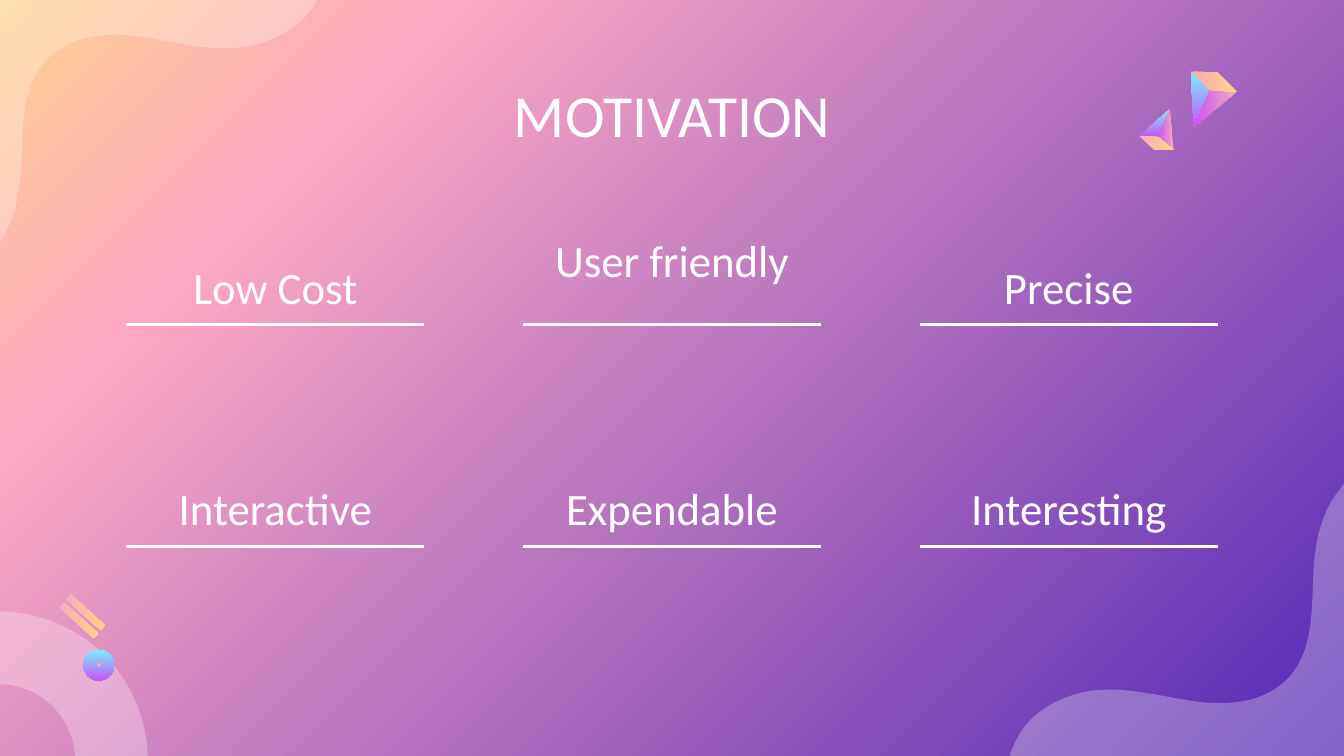
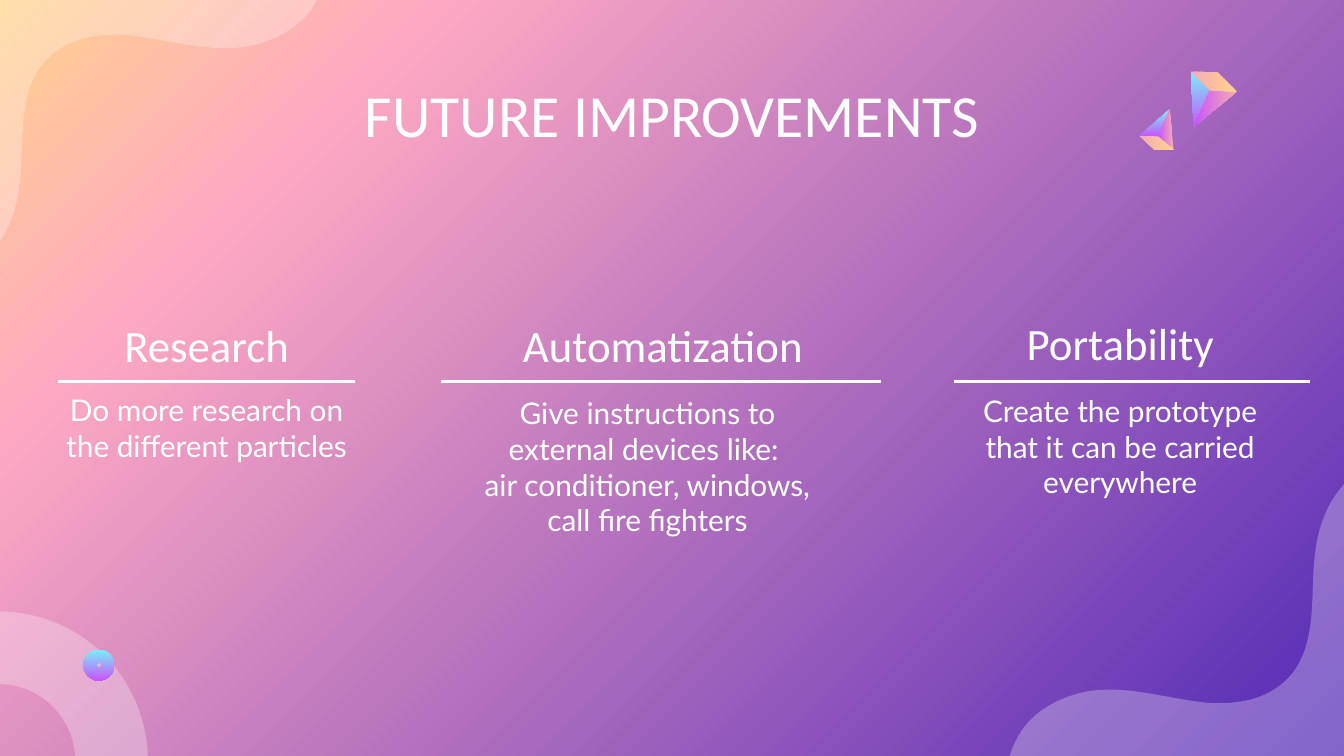
"""Build the motivation and future improvements slides."""
import copy

import lxml.etree
import pptx
import pptx.dml.color
import pptx.enum.shapes
import pptx.enum.text
import pptx.oxml
import pptx.oxml.ns
import pptx.util

Pt = pptx.util.Pt
qn = pptx.oxml.ns.qn
WHITE = "FFFFFF"
BACKDROP = [(0, "5229B7"), (0.79, "FEA8C3"), (1, "FFD38B")]
CYAN_VIOLET = [(0, "78F0F9"), (1, "C954FA")]
PINK_VIOLET = [(0, "F7ABB7"), (1, "C954FA")]
PINK_ORANGE = [(0, "F7ABB7"), (1, "FFD38B")]
HEADING = {"name": "Calibri", "size": Pt(24)}
TITLE = {"name": "Calibri", "size": Pt(32)}
BODY = {"name": "Lato", "size": Pt(16)}

WAVE_START = (732.2, 251.3)
WAVE_CURVES = [
    [(726.5, 253.4), (721.4, 257), (717.8, 262.1)],
    [(710.6, 270.7), (706.3, 283), (704.9, 293.8)],
    [(701.3, 316.8), (707, 345.6), (689.8, 363.6)],
    [(678.2, 375.1), (663.1, 377.3), (648, 376.6)],
    [(622.1, 374.4), (596.2, 363.6), (571, 373.7)],
    [(559.4, 378), (549.4, 385.9), (544.3, 396.7)],
    [(540.7, 403.2), (539.3, 410.4), (539.3, 417.6)],
]
WAVE_CORNER = (732.2, 417.6)

HEADINGS = [["Low Cost", "User friendly", "Precise"],
            ["Interactive", "Expendable", "Interesting"]]
IMPROVEMENTS = [
    ("Research", (20, 163.7, 181.4, 41.8), (31, 190.1),
     ["Do more research on the different particles"], (20, 210.2, 181.4, 38.2)),
    ("Automatization", (243.1, 163.9, 223.9, 41.8), (236.2, 472.1),
     ["Give instructions to external devices like: ",
      "air conditioner, windows, call fire fighters"], (243.6, 210.2, 206.6, 79.2)),
    ("Portability", (509.4, 162.7, 181.4, 41.8), (511.2, 701.6),
     ["Create the prototype that it can be carried everywhere"],
     (509.4, 219.9, 181.4, 38.2)),
]


def color(value):
    """Turn a hex string into a colour."""
    return pptx.dml.color.RGBColor.from_string(value)


def set_attributes(target, values):
    """Set every attribute named in a dict."""
    for name, value in values.items():
        setattr(target, name, value)


def fill_gradient(fill, stops, clockwise_angle):
    """Fill with a linear gradient of any number of stops."""
    fill.gradient()
    fill.gradient_angle = (360 - clockwise_angle) % 360
    stop_list = fill._xPr.find(".//" + qn("a:gsLst"))
    while len(stop_list) < len(stops):
        stop_list.append(copy.deepcopy(stop_list[-1]))
    for stop, (position, value) in zip(fill.gradient_stops, stops):
        stop.position = position
        stop.color.rgb = color(value)


def fill_veil(fill):
    """Fill with translucent white."""
    fill.solid()
    fill.fore_color.rgb = color(WHITE)
    tint = fill._xPr.find(".//" + qn("a:srgbClr"))
    lxml.etree.SubElement(tint, qn("a:alpha"), val="28000")


def strip_outline(shape):
    """Remove the line and shadow of a shape."""
    shape.line.fill.background()
    shape.shadow.inherit = False
    return shape


def add_polygon(container, points):
    """Draw a closed outline through points."""
    vertices = [(Pt(x), Pt(y)) for x, y in points]
    builder = container.shapes.build_freeform(*vertices[0], scale=1.0)
    builder.add_line_segments(vertices[1:], close=True)
    return strip_outline(builder.convert_to_shape())


def add_facet(container, points, stops, angle):
    """Draw a polygon with a gradient."""
    fill_gradient(add_polygon(container, points).fill, stops, angle)


def add_ring(slide, center, diameter, thickness):
    """Draw a ring around a centre point."""
    left, top = (value - diameter / 2 for value in center)
    shape = slide.shapes.add_shape(pptx.enum.shapes.MSO_SHAPE.DONUT, Pt(left), Pt(top),
                                   Pt(diameter), Pt(diameter))
    shape.adjustments[0] = thickness / diameter
    return strip_outline(shape)


def bend_sides(shape, controls):
    """Turn the first sides of an outline into cubic curves."""
    sides = list(shape.element.iter(qn("a:lnTo")))
    for side, pair in zip(sides, controls):
        curve = lxml.etree.Element(qn("a:cubicBezTo"))
        for x, y in pair:
            lxml.etree.SubElement(curve, qn("a:pt"), x=str(Pt(x) - shape.left),
                                  y=str(Pt(y) - shape.top))
        curve.append(side[0])
        side.getparent().replace(side, curve)


def add_wave(slide, place):
    """Draw a corner wave with each point moved by place."""
    ends = [WAVE_START, *(curve[-1] for curve in WAVE_CURVES), WAVE_CORNER]
    shape = add_polygon(slide, [place(*point) for point in ends])
    bend_sides(shape, [[place(*point) for point in curve[:2]] for curve in WAVE_CURVES])
    return shape


def decorate_layout(slide):
    """Put the translucent waves and ring on the layout of a slide."""
    layout = slide.slide_layout
    for placeholder in list(layout.placeholders)[1:]:
        layout.shapes.element.remove(placeholder.element)
    ornaments = [
        add_wave(slide, lambda x, y: (x, y)),
        add_wave(slide, lambda x, y: (715 - x, 395.3 - y)),
        add_ring(slide, (-0.7, 407.5), 159.8, 38.9),
    ]
    for ornament in ornaments:
        fill_veil(ornament.fill)
        layout.shapes.element.append(ornament.element)


def add_gem(slide, hub, tip, cool, warm, back):
    """Draw a three-sided gem whose facets meet at the hub."""
    group = slide.shapes.add_group_shape()
    add_facet(group, [cool, hub, tip], CYAN_VIOLET, 90)
    add_facet(group, [tip, hub, warm], PINK_VIOLET, 180)
    add_facet(group, [warm, hub, cool, back], PINK_ORANGE, 0)


def add_bars(slide):
    """Draw the two slanted bars."""
    group = slide.shapes.add_group_shape()
    bar = [(35.3, 321.3), (38, 318.4), (56.3, 335), (54, 337.8)]
    for shift_x, shift_y in ((0, 0), (-3.6, 4.3)):
        points = [(x + shift_x, y + shift_y) for x, y in bar]
        add_facet(group, points, PINK_ORANGE, 0)


def write_text(shape, box, paragraphs, font):
    """Place a text shape and write centred paragraphs."""
    set_attributes(shape, dict(zip(("left", "top", "width", "height"), map(Pt, box))))
    frame = shape.text_frame
    set_attributes(frame, {
        "word_wrap": True,
        "auto_size": pptx.enum.text.MSO_AUTO_SIZE.NONE,
        "vertical_anchor": pptx.enum.text.MSO_ANCHOR.MIDDLE,
        **{f"margin_{side}": Pt(7.2) for side in ("left", "right", "top", "bottom")},
    })
    frame.text = "\n".join(paragraphs)
    for paragraph in frame.paragraphs:
        paragraph.alignment = pptx.enum.text.PP_ALIGN.CENTER
        for run in paragraph.runs:
            set_attributes(run.font, font)
            run.font.color.rgb = color(WHITE)


def add_text(slide, box, paragraphs, font):
    """Add a text box."""
    shape = slide.shapes.add_textbox(0, 0, 0, 0)
    write_text(shape, box, paragraphs, font)


def add_rule(slide, left, right, y):
    """Draw a horizontal white line."""
    straight = pptx.enum.shapes.MSO_CONNECTOR.STRAIGHT
    rule = slide.shapes.add_connector(straight, Pt(left), Pt(y), Pt(right), Pt(y))
    rule.line.width = Pt(1.5)
    rule.line.color.rgb = color(WHITE)
    lxml.etree.SubElement(rule.element.spPr, qn("a:effectLst"))


def add_slide(presentation, title):
    """Add a slide with the shared title and ornaments."""
    slide = presentation.slides.add_slide(presentation.slide_layouts[5])
    write_text(slide.shapes.title, (56.7, 41.8, 607, 38.2), [title], TITLE)
    return slide


def add_ornaments(slide):
    """Draw the gems and the bead."""
    add_gem(slide, hub=(648.2, 48.3), tip=(639.5, 67.9), cool=(637.9, 38.3),
            warm=(662.6, 49.2), back=(652.4, 38.9))
    add_gem(slide, hub=(620.5, 73.4), tip=(626.6, 58.5), cool=(610.4, 72.9),
            warm=(628.7, 80.2), back=(618.5, 80.2))
    fill_gradient(add_ring(slide, (53, 356.3), 16.6, 6.8).fill, CYAN_VIOLET, 90)


def add_motivation(presentation):
    """Build the grid of underlined headings."""
    slide = add_slide(presentation, "MOTIVATION")
    decorate_layout(slide)
    for row, headings in enumerate(HEADINGS):
        for column, heading in enumerate(headings):
            center = 147.5 + 212.5 * column
            rule_y = 174 + 118.8 * row
            lift = 14.4 if heading == "User friendly" else 0
            box = (center - 90.7, rule_y - 41.6 - lift, 181.4, 41.8)
            add_text(slide, box, [heading], HEADING)
            add_rule(slide, center - 79.8, center + 79.8, rule_y)
    add_ornaments(slide)
    add_bars(slide)


def add_improvements(presentation):
    """Build the three columns of improvements."""
    slide = add_slide(presentation, "FUTURE IMPROVEMENTS")
    for heading, heading_box, (left, right), body, body_box in IMPROVEMENTS:
        add_text(slide, heading_box, [heading], HEADING)
        add_rule(slide, left, right, 204.5)
        add_text(slide, body_box, body, BODY)
    add_ornaments(slide)


def main():
    """Build and save the presentation."""
    presentation = pptx.Presentation()
    set_attributes(presentation, {"slide_width": Pt(720), "slide_height": Pt(405)})
    fill_gradient(presentation.slide_master.background.fill, BACKDROP, 225)
    add_motivation(presentation)
    add_improvements(presentation)
    presentation.save("out.pptx")


if __name__ == "__main__":
    main()
